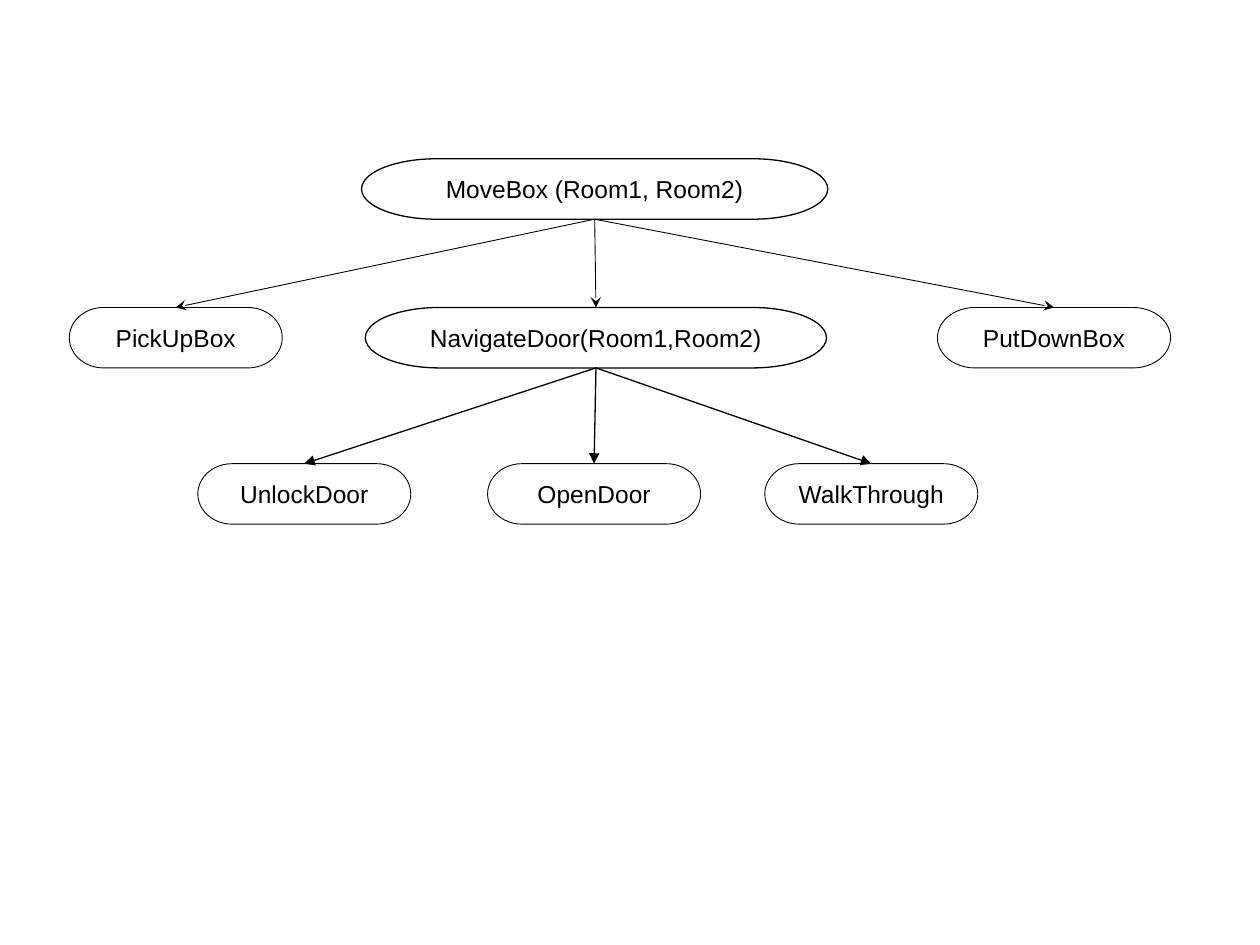
from dataclasses import dataclass

from lxml.etree import SubElement
from pptx import Presentation
from pptx.dml.color import RGBColor
from pptx.enum.shapes import MSO_CONNECTOR as Connector, MSO_SHAPE as Shape
from pptx.enum.text import MSO_ANCHOR as Anchor, PP_ALIGN as Align
from pptx.oxml.ns import qn
from pptx.util import Inches, Pt


@dataclass(frozen=True)
class Theme:
    ink: RGBColor = RGBColor(0, 0, 0)
    paper: RGBColor = RGBColor(255, 255, 255)
    font: str = "Arial"
    text_size: float = 14
    thin: float = 0.5
    medium: float = 0.75


TOP, BOTTOM = 0, 2
NODE_HEIGHT = 0.48
STEP_WIDTH = 1.69
ROOT_TOP, TASK_TOP, STEP_TOP = 1.26, 2.44, 3.68


class TaskTree:
    def __init__(self, slide, theme):
        self.slide = slide
        self.theme = theme

    def node(self, text, left, top, width, line_width):
        shape = self.slide.shapes.add_shape(
            Shape.FLOWCHART_TERMINATOR,
            Inches(left), Inches(top), Inches(width), Inches(NODE_HEIGHT))
        shape.shadow.inherit = False
        shape.fill.solid()
        shape.fill.fore_color.rgb = self.theme.paper
        shape.line.color.rgb = self.theme.ink
        shape.line.width = Pt(line_width)

        frame = shape.text_frame
        frame.word_wrap = False
        frame.vertical_anchor = Anchor.MIDDLE
        paragraph = frame.paragraphs[0]
        paragraph.alignment = Align.CENTER
        run = paragraph.add_run()
        run.text = text
        run.font.name = self.theme.font
        run.font.size = Pt(self.theme.text_size)
        run.font.color.rgb = self.theme.ink
        return shape

    def arrow(self, parent, child, line_width, head):
        connector = self.slide.shapes.add_connector(Connector.STRAIGHT, 0, 0, 0, 0)
        connector.begin_connect(parent, BOTTOM)
        connector.end_connect(child, TOP)
        connector.line.color.rgb = self.theme.ink
        connector.line.width = Pt(line_width)
        SubElement(connector.line._get_or_add_ln(), qn("a:tailEnd"), type=head)
        SubElement(connector._element.spPr, qn("a:effectLst"))

    def branch(self, parent, children, line_width, head):
        for child in children:
            self.arrow(parent, child, line_width, head)


def main():
    presentation = Presentation()
    presentation.slide_width = Inches(10)
    presentation.slide_height = Inches(7.5)
    slide = presentation.slides.add_slide(presentation.slide_layouts[6])
    theme = Theme()
    tree = TaskTree(slide, theme)

    move = tree.node("MoveBox (Room1, Room2)", 2.87, ROOT_TOP, 3.7, theme.medium)
    pick_up = tree.node("PickUpBox", 0.55, TASK_TOP, STEP_WIDTH, theme.thin)
    navigate = tree.node("NavigateDoor(Room1,Room2)", 2.9, TASK_TOP, 3.66, theme.medium)
    put_down = tree.node("PutDownBox", 7.44, TASK_TOP, 1.85, theme.thin)
    door_steps = [
        tree.node(text, left, STEP_TOP, STEP_WIDTH, theme.thin)
        for text, left in (("UnlockDoor", 1.57), ("OpenDoor", 3.87), ("WalkThrough", 6.07))
    ]

    tree.branch(move, (pick_up, navigate, put_down), theme.thin, "stealth")
    tree.branch(navigate, door_steps, theme.medium, "triangle")

    presentation.save("out.pptx")


if __name__ == "__main__":
    main()
